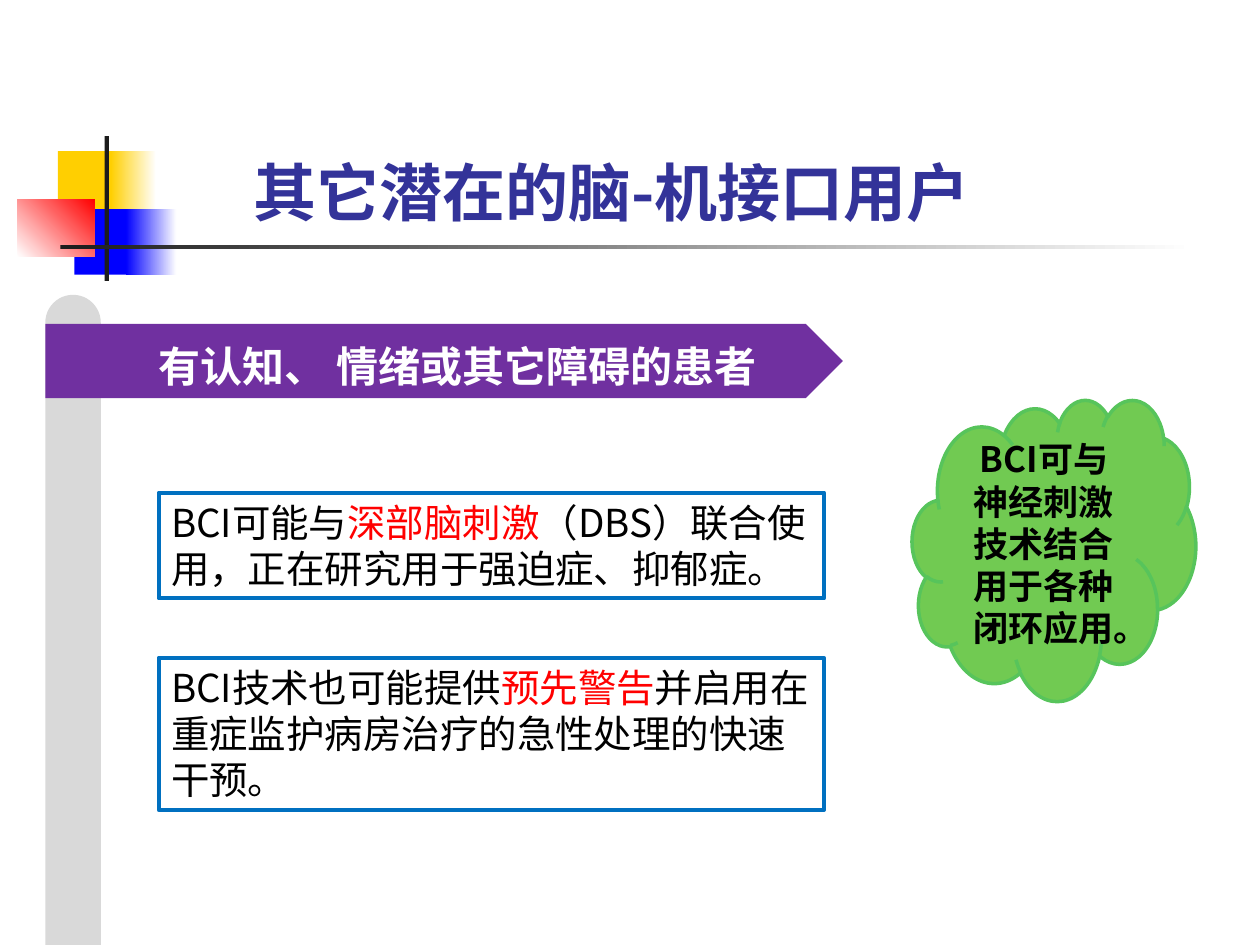
from dataclasses import dataclass

from lxml import etree
from pptx import Presentation
from pptx.dml.color import RGBColor
from pptx.enum.shapes import MSO_SHAPE
from pptx.enum.text import MSO_ANCHOR, MSO_AUTO_SIZE, PP_ALIGN
from pptx.oxml.ns import qn
from pptx.util import Inches, Pt

RECT, CLOUD = MSO_SHAPE.RECTANGLE, MSO_SHAPE.CLOUD
ARROW, ROUND_TOP = MSO_SHAPE.PENTAGON, MSO_SHAPE.ROUND_2_SAME_RECTANGLE
TOP, MIDDLE, BOTTOM = MSO_ANCHOR.TOP, MSO_ANCHOR.MIDDLE, MSO_ANCHOR.BOTTOM
LEFT, CENTER = PP_ALIGN.LEFT, PP_ALIGN.CENTER
GROW = MSO_AUTO_SIZE.SHAPE_TO_FIT_TEXT

COLUMNS, ROWS = 100, 75  # grid cells across and down the slide
WIDTH, HEIGHT = Inches(10), Inches(7.5)
RAIL_LEFT, TEXT_LEFT = 3.6, 12.6  # columns shared by banner, rail and boxes


@dataclass(frozen=True)
class Theme:
    white: str = "FFFFFF"
    black: str = "000000"
    yellow: str = "FFCF01"
    blue: str = "0000FF"
    red: str = "FF0000"
    ink: str = "1C1C1C"
    title: str = "333399"
    rail: str = "D9D9D9"
    banner: str = "7030A0"
    cloud: str = "71CA52"
    cloud_edge: str = "57C45B"
    box_edge: str = "0070C0"
    cjk: str = "Noto Sans CJK SC"
    latin: str = "Arial"
    title_size: int = 36
    banner_size: int = 24
    box_size: int = 22
    cloud_size: int = 20


THEME = Theme()


def rgb(color):
    return RGBColor.from_string(color)


def grid(left, top, width, height):
    cell_w, cell_h = WIDTH / COLUMNS, HEIGHT / ROWS
    return [round(v) for v in (left * cell_w, top * cell_h, width * cell_w, height * cell_h)]


def add_block(shapes, kind, area, fill=None, edge=None, edge_width=0):
    block = shapes.add_shape(kind, *grid(*area))
    block.shadow.inherit = False
    if fill:
        block.fill.solid()
        block.fill.fore_color.rgb = rgb(fill)
    else:
        block.fill.background()
    if edge:
        block.line.color.rgb = rgb(edge)
        block.line.width = Pt(edge_width)
    else:
        block.line.fill.background()
    return block


def add_fade(shapes, area, start, end, angle=0):
    """Rectangle blending from start to end; angle runs counter-clockwise."""
    block = add_block(shapes, RECT, area)
    block.fill.gradient()
    block.fill.gradient_angle = angle
    for stop, color in zip(block.fill.gradient_stops, (start, end)):
        stop.color.rgb = rgb(color)


def write(holder, parts, size, color, font=THEME.cjk, bold=False, align=LEFT, anchor=TOP):
    """Fill one paragraph; parts are (text, accent colour or None) pairs."""
    frame = holder.text_frame
    frame.word_wrap = True
    frame.vertical_anchor = anchor
    paragraph = frame.paragraphs[0]
    paragraph.alignment = align
    style = paragraph.font
    style.size, style.bold, style.name = Pt(size), bold, font
    style.color.rgb = rgb(color)
    properties = paragraph._p.pPr.find(qn("a:defRPr"))
    etree.SubElement(properties, qn("a:ea")).set("typeface", THEME.cjk)
    for text, accent in parts:
        run = paragraph.add_run()
        run.text = text
        if accent:
            run.font.color.rgb = rgb(accent)
    return paragraph


def add_ornament(shapes):
    add_block(shapes, RECT, (4.6, 12, 4.8, 5.2), THEME.yellow)
    add_fade(shapes, (8.8, 12, 3.6, 5.2), THEME.yellow, THEME.white)
    add_block(shapes, RECT, (5.9, 16.6, 4.6, 5.2), THEME.blue)
    add_fade(shapes, (10, 16.6, 4, 5.2), THEME.blue, THEME.white)
    add_fade(shapes, (1.4, 15.8, 6.1, 4.6), THEME.white, THEME.red, angle=45)
    add_block(shapes, RECT, (8.3, 10.8, 0.35, 11.5), THEME.ink)
    add_fade(shapes, (4.8, 19.45, 90, 0.35), THEME.ink, THEME.white)


def add_title(shapes, text):
    title = shapes.add_textbox(*grid(19.1, 2.7, 63.2, 16))
    write(title, [(text, None)], THEME.title_size, THEME.title, bold=True, anchor=BOTTOM)


def add_rail(shapes):
    rail = add_block(shapes, ROUND_TOP, (RAIL_LEFT, 23.4, 4.4, 51.6), THEME.rail)
    rail.adjustments[0] = 0.5


def add_banner(shapes, text):
    banner = add_block(shapes, ARROW, (RAIL_LEFT, 25.7, 63.3, 5.9), THEME.banner)
    heading = write(banner, [(text, None)], THEME.banner_size, THEME.white,
                    font=THEME.latin, bold=True, anchor=MIDDLE)
    heading.line_spacing = 1.2
    banner.text_frame.margin_left = round((TEXT_LEFT - RAIL_LEFT) * WIDTH / COLUMNS)


def add_point(shapes, top, height, parts):
    point = add_block(shapes, RECT, (TEXT_LEFT, top, 52.8, height),
                      edge=THEME.box_edge, edge_width=2.25)
    write(point, parts, THEME.box_size, THEME.black)
    point.text_frame.auto_size = GROW


def add_cloud(shapes, text):
    cloud = add_block(shapes, CLOUD, (72.4, 31.7, 22.5, 23.9), THEME.cloud, THEME.cloud_edge, 2)
    write(cloud, [(text, None)], THEME.cloud_size, THEME.black,
          bold=True, align=CENTER, anchor=MIDDLE)


def main():
    deck = Presentation()
    deck.slide_width, deck.slide_height = WIDTH, HEIGHT
    shapes = deck.slides.add_slide(deck.slide_layouts[6]).shapes

    add_ornament(shapes)
    add_title(shapes, "其它潜在的脑-机接口用户")
    add_rail(shapes)
    add_banner(shapes, "有认知、 情绪或其它障碍的患者")
    add_cloud(shapes, "BCI可与神经刺激技术结合用于各种闭环应用。")
    add_point(shapes, 39.1, 8.4, [
        ("BCI可能与", None),
        ("深部脑刺激", THEME.red),
        ("（DBS）联合使用，正在研究用于强迫症、抑郁症。", None),
    ])
    add_point(shapes, 52.2, 12.1, [
        ("BCI技术也可能提供", None),
        ("预先警告", THEME.red),
        ("并启用在重症监护病房治疗的急性处理的快速干预。", None),
    ])
    deck.save("out.pptx")


if __name__ == "__main__":
    main()
